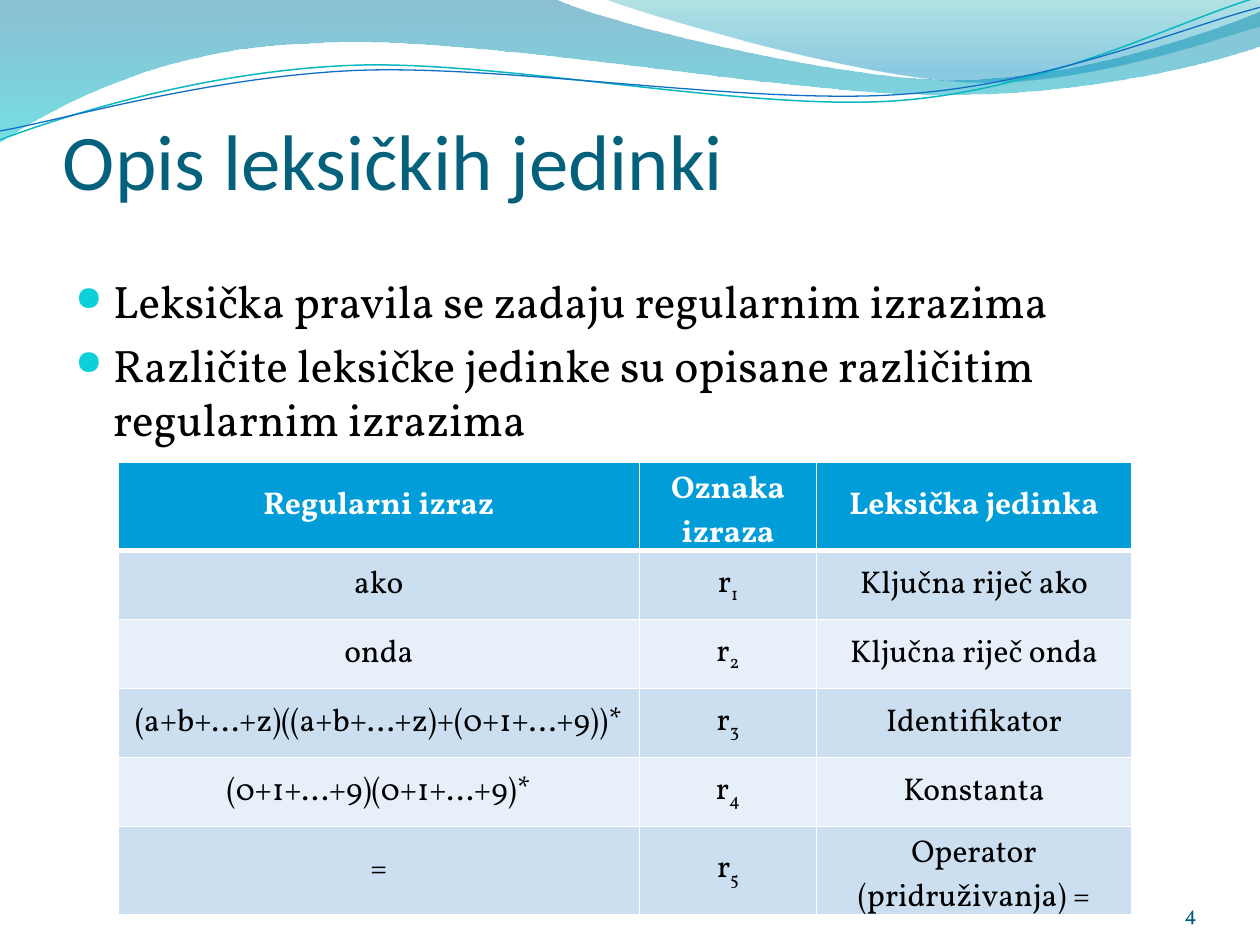
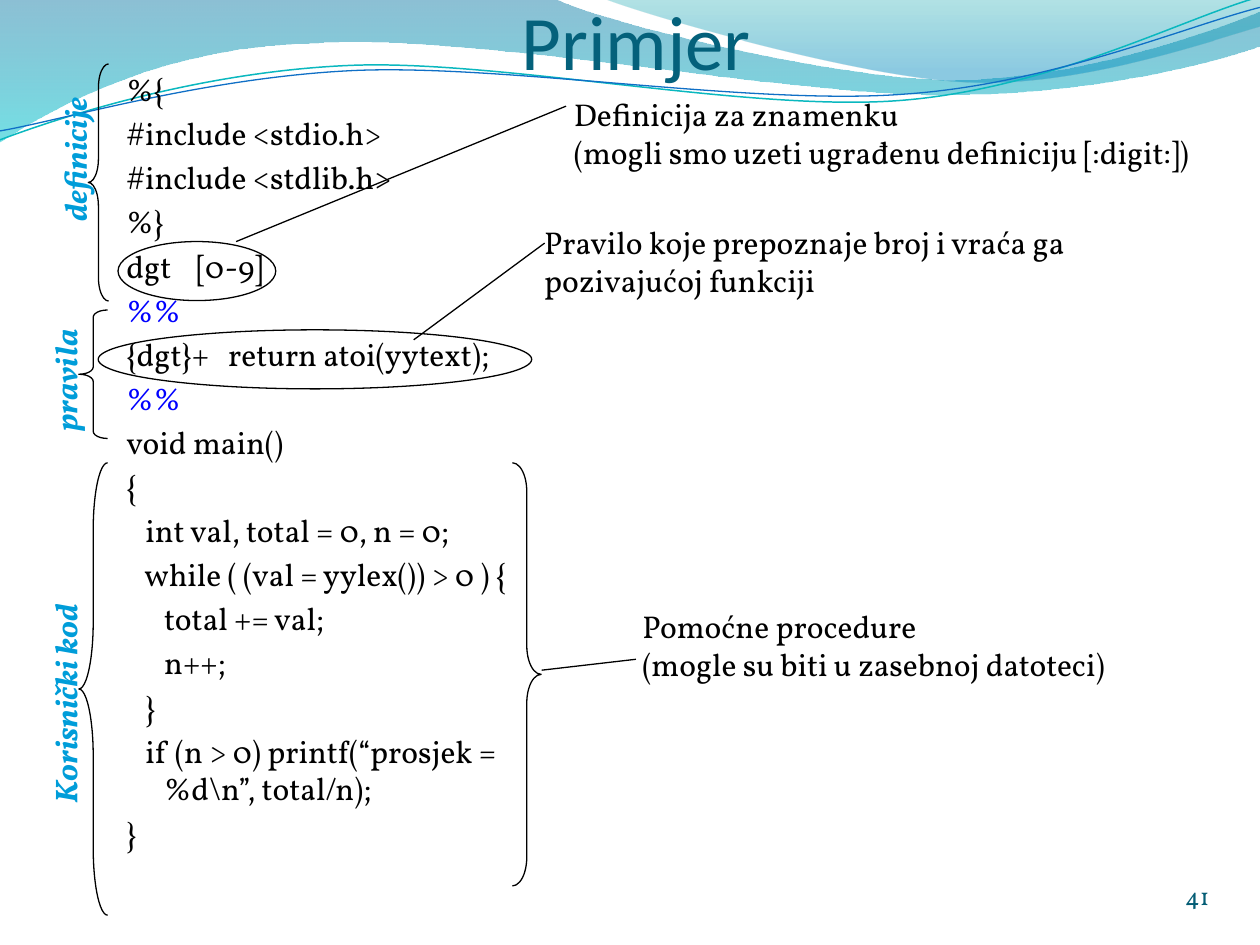
from lxml import etree
from pptx import Presentation
from pptx.dml.color import RGBColor
from pptx.enum.shapes import MSO_CONNECTOR, MSO_SHAPE
from pptx.enum.text import MSO_ANCHOR as Anchor, PP_ALIGN as Align
from pptx.oxml import parse_xml
from pptx.oxml.ns import nsdecls, qn
from pptx.util import Cm, Pt

COLORS = {
    "title": "04617B", "number": "045D75", "text": "000000", "bullet": "0BD0D9",
    "accent": "009DD9", "separator": "0000FF", "white": "FFFFFF",
    "band_dark": "CCDFF1", "band_light": "E7EFF8",
    "wave_teal": "0AB8BF", "wave_blue": "0F6FC6",
}
TITLE_FONT, BODY_FONT = "Calibri", "Vollkorn"
HANGING = 0.76

WAVE_BANDS = [
    ([(0, 0), (11.18, -0.03),
      [(12.09, 0.43), (16.87, 1.6), (19.25, 1.6)],
      [(21.67, 1.6), (24.33, 0.66), (25.4, 0.23)], (25.43, 0.91),
      [(24.97, 1.12), (22.1, 1.93), (18.95, 1.91)],
      [(15.8, 1.91), (9.7, 0.71), (6.53, 0.86)],
      [(3.28, 0.91), (1.17, 2.11), (-0.03, 2.87)]],
     [(0, "0074A1", 45), (100, "00C6CF", 55)]),
    ([(12.17, -0.03),
      [(12.93, 0.28), (17.32, 1.57), (19.53, 1.65)],
      [(21.74, 1.75), (24.41, 0.81), (25.4, 0.53)], (25.4, 0)],
     [(0, "00A1A9", 30), (80, "008BBF", 45)]),
]
WAVE_LINES = [
    ([(0, 2.82),
      [(1.22, 2.36), (4.01, 1.45), (7.04, 1.32)],
      [(10.03, 1.19), (15.06, 2.26), (18.11, 2.03)],
      [(21.16, 1.8), (23.83, 0.38), (25.35, -0.05)]], "wave_teal", 0.85),
    ([(0, 2.64),
      [(1.19, 2.44), (4.17, 1.55), (7.19, 1.42)],
      [(10.24, 1.3), (15.16, 2.13), (18.21, 1.9)],
      [(21.18, 1.7), (23.9, 0.53), (25.4, 0.15)]], "wave_blue", 0.75),
]
RULES = ["Leksička pravila se zadaju regularnim izrazima",
         "Različite leksičke jedinke su opisane različitim regularnim izrazima"]
TABLE_HEADER = ["Regularni izraz", "Oznaka izraza", "Leksička jedinka"]
TOKENS = [
    ("ako", "Ključna riječ ako"),
    ("onda", "Ključna riječ onda"),
    ("(a+b+...+z)((a+b+...+z)+(0+1+...+9))*", "Identifikator"),
    ("(0+1+...+9)(0+1+...+9)*", "Konstanta"),
    ("=", "Operator (pridruživanja) ="),
]
CODE = r"""%{
#include <stdio.h>
#include <stdlib.h>
%}
dgt    [0-9]
%%
{dgt}+   return atoi(yytext);
%%
void main()
{
   int val, total = 0, n = 0;
   while ( (val = yylex()) > 0 ) {
      total += val;
      n++;
   }
   if (n > 0) printf(“prosjek = %d\n”, total/n);
}""".split("\n")


def rgb(name):
    """Return the named colour."""
    return RGBColor.from_string(COLORS[name])


def add_bullet(paragraph):
    """Give the paragraph a round coloured bullet."""
    properties = paragraph._p.get_or_add_pPr()
    color = etree.SubElement(properties, qn("a:buClr"))
    etree.SubElement(color, qn("a:srgbClr"), val=COLORS["bullet"])
    etree.SubElement(properties, qn("a:buSzPct"), val="75000")
    etree.SubElement(properties, qn("a:buChar"), char="●")


def write_text(frame, lines, size=18, color="text", font=BODY_FONT, bold=False, italic=False,
               align=Align.LEFT, anchor=Anchor.TOP, wrap=True, hanging=0, before=0,
               bullet=False, subscript="", line_colors=None):
    """Write each line as one formatted paragraph of the text frame."""
    frame.word_wrap = wrap
    frame.vertical_anchor = anchor
    for index, line in enumerate(lines):
        paragraph = frame.add_paragraph() if index else frame.paragraphs[0]
        if hanging:
            properties = paragraph._p.get_or_add_pPr()
            properties.set("marL", str(Cm(hanging)))
            properties.set("indent", str(-Cm(hanging)))
        if bullet:
            add_bullet(paragraph)
        paragraph.alignment = align
        if index and before:
            paragraph.space_before = Pt(before)
        for part in filter(None, (line, subscript)):
            run = paragraph.add_run()
            run.text = part
            run.font.size = Pt(size)
            run.font.name = font
            run.font.bold = bold
            run.font.italic = italic
            run.font.color.rgb = rgb((line_colors or {}).get(line, color))
            if part is subscript:
                run.font._element.set("baseline", "-25000")


def add_text(slide, box, lines, margins=None, rotation=0, **text_format):
    """Add a text box with the given format."""
    shape = slide.shapes.add_textbox(*map(Cm, box))
    shape.rotation = rotation
    frame = shape.text_frame
    if margins:
        (frame.margin_left, frame.margin_top,
         frame.margin_right, frame.margin_bottom) = map(Cm, margins)
    write_text(frame, lines, **text_format)


def add_outline(slide, path, closed):
    """Add a freeform whose bracketed parts are cubic curves."""
    parts = [part if isinstance(part, list) else [part] for part in path]
    points = [(Cm(x), Cm(y)) for part in parts for x, y in part]
    builder = slide.shapes.build_freeform(*points[0])
    builder.add_line_segments(points[1:], close=closed)
    shape = builder.convert_to_shape()
    shape.shadow.inherit = False
    segments = iter(shape._element.findall(f".//{qn('a:lnTo')}"))
    for part in parts[1:]:
        group = [next(segments) for _ in part]
        if len(group) == 3:
            curve = etree.Element(qn("a:cubicBezTo"))
            group[0].addprevious(curve)
            for segment in group:
                curve.append(segment[0])
                segment.getparent().remove(segment)
    return shape


def add_waves(slide):
    """Draw the wave bands and lines along the top and return them."""
    waves = []
    for path, stops in WAVE_BANDS:
        band = add_outline(slide, path, True)
        band.line.fill.background()
        stop_xml = "".join(
            f'<a:gs pos="{position * 1000}"><a:srgbClr val="{color}">'
            f'<a:alpha val="{opacity * 1000}"/></a:srgbClr></a:gs>'
            for position, color, opacity in stops)
        gradient = parse_xml(f'<a:gradFill {nsdecls("a")}><a:gsLst>{stop_xml}</a:gsLst>'
                             '<a:lin ang="5400000" scaled="0"/></a:gradFill>')
        band._element.spPr.find(qn("a:custGeom")).addnext(gradient)
        waves.append(band)
    for path, color, width in WAVE_LINES:
        wave = add_outline(slide, path, False)
        wave.fill.background()
        wave.line.color.rgb = rgb(color)
        wave.line.width = Pt(width)
        waves.append(wave)
    return waves


def share_waves(slide):
    """Draw the waves once and move them to the layout of the slide."""
    for wave in add_waves(slide):
        slide.slide_layout.shapes._spTree.append(wave._element)


def add_title(slide, box, title, **text_format):
    """Add the slide title."""
    add_text(slide, box, [title], font=TITLE_FONT, color="title", **text_format)


def add_number(slide, box, number, size):
    """Add the slide number."""
    add_text(slide, box, [number], margins=(0, 0, 0, 0), size=size, color="number",
             align=Align.RIGHT, anchor=Anchor.BOTTOM)


def fill_cell(cell, text, fill, bottom=1, **text_format):
    """Write a centred table cell with white borders."""
    properties = cell._tc.get_or_add_tcPr()
    for side, width in (("L", 1), ("R", 1), ("T", 1), ("B", bottom)):
        border = etree.SubElement(properties, qn(f"a:ln{side}"), w=str(Pt(width)))
        solid = etree.SubElement(border, qn("a:solidFill"))
        etree.SubElement(solid, qn("a:srgbClr"), val=COLORS["white"])
    cell.fill.solid()
    cell.fill.fore_color.rgb = rgb(fill)
    write_text(cell.text_frame, [text], align=Align.CENTER, **text_format)
    cell.vertical_anchor = Anchor.MIDDLE


def add_token_table(slide, left, top, column_widths, row_height):
    """Add the table of regular expressions and their lexical units."""
    rows = len(TOKENS) + 1
    table = slide.shapes.add_table(rows, len(column_widths), Cm(left), Cm(top),
                                   Cm(sum(column_widths)), Cm(rows * row_height)).table
    table.horz_banding = False
    for column, width in zip(table.columns, column_widths):
        column.width = Cm(width)
    for column, heading in enumerate(TABLE_HEADER):
        fill_cell(table.cell(0, column), heading, "accent", bottom=3, color="white", bold=True)
    for row, (expression, unit) in enumerate(TOKENS, 1):
        fill = "band_dark" if row % 2 else "band_light"
        fill_cell(table.cell(row, 0), expression, fill)
        fill_cell(table.cell(row, 1), "r", fill, subscript=str(row))
        fill_cell(table.cell(row, 2), unit, fill)


def add_mark(slide, kind, box, bend=None):
    """Add an unfilled black ellipse or brace."""
    shape = slide.shapes.add_shape(kind, *map(Cm, box))
    shape.shadow.inherit = False
    shape.fill.background()
    shape.line.color.rgb = rgb("text")
    shape.line.width = Pt(0.75)
    if bend:
        shape.adjustments[0] = bend


def add_pointer(slide, *ends):
    """Add a thin line between two points."""
    line = slide.shapes.add_connector(MSO_CONNECTOR.STRAIGHT, *map(Cm, ends))
    line.line.color.rgb = rgb("text")
    line.line.width = Pt(0.75)
    etree.SubElement(line._element.spPr, qn("a:effectLst"))


def add_section(slide, box, bend, label, label_length, label_middle):
    """Add a left brace with an upright label beside it."""
    add_mark(slide, MSO_SHAPE.LEFT_BRACE, box, bend)
    height = 1.02
    label_box = (box[0] - 0.28 - label_length / 2, box[1] + label_middle - height / 2,
                 label_length, height)
    add_text(slide, label_box, [label], rotation=270, color="accent", bold=True, italic=True,
             wrap=False)


def build_token_slide(slide):
    """Build the slide that describes lexical units."""
    add_title(slide, (1.27, 1.95, 22.86, 2.21), "Opis leksičkih jedinki", size=45,
              anchor=Anchor.BOTTOM, margins=(0, 0.13, 0, 0))
    add_text(slide, (1.27, 5.38, 22.86, 12.19), RULES, size=26, hanging=HANGING,
             before=5.2, bullet=True)
    add_token_table(slide, 2.38, 9.32, (10.51, 3.57, 6.35), 1.39)
    add_number(slide, (22.02, 17.65, 2.11, 1.02), "4", 12)


def build_example_slide(slide):
    """Build the slide with the annotated example program."""
    add_number(slide, (18.46, 17.08, 5.92, 1.27), "41", 14)
    add_text(slide, (2.3, 1.29, 8.26, 10.74), CODE, hanging=HANGING, before=3.6,
             line_colors={"%%": "separator"})
    for box in ((2.38, 4.87, 3.18, 1.19), (1.98, 6.65, 8.74, 1.19)):
        add_mark(slide, MSO_SHAPE.OVAL, box)
    add_mark(slide, MSO_SHAPE.RIGHT_BRACE, (10.33, 9.33, 0.58, 8.53), 1)
    add_text(slide, (11.32, 1.79, 13.41, 1.7),
             ["Definicija za znamenku", "(mogli smo uzeti ugrađenu definiciju [:digit:])"],
             hanging=0.97)
    add_text(slide, (10.72, 4.37, 11.05, 1.8),
             ["Pravilo koje prepoznaje broj i vraća ga pozivajućoj funkciji"])
    add_text(slide, (12.7, 12.11, 10.24, 1.8),
             ["Pomoćne procedure", "(mogle su biti u zasebnoj datoteci)"], wrap=False)
    add_pointer(slide, 4.76, 4.87, 11.41, 2.14)
    add_pointer(slide, 8.34, 6.85, 10.98, 4.9)
    add_pointer(slide, 10.92, 13.51, 12.82, 13.29)
    add_section(slide, (1.78, 1.29, 0.41, 4.78), 1.17, "definicije", 3.3, 1.78)
    add_section(slide, (1.59, 6.25, 0.58, 2.59), 0.25, "pravila", 2.59, 1.4)
    add_section(slide, (1.59, 9.33, 0.58, 9.12), 2.33, "Korisnički kod", 4.93, 4.65)
    add_title(slide, (1.4, -0.79, 22.86, 3.18), "Primjer", size=44, align=Align.CENTER,
              anchor=Anchor.MIDDLE)


def main():
    """Build and save the presentation."""
    presentation = Presentation()
    presentation.slide_width, presentation.slide_height = Cm(25.4), Cm(19.05)
    blank = presentation.slide_layouts[6]
    token_slide, example_slide = (presentation.slides.add_slide(blank) for _ in range(2))
    share_waves(token_slide)
    build_token_slide(token_slide)
    build_example_slide(example_slide)
    presentation.save("out.pptx")


if __name__ == "__main__":
    main()
